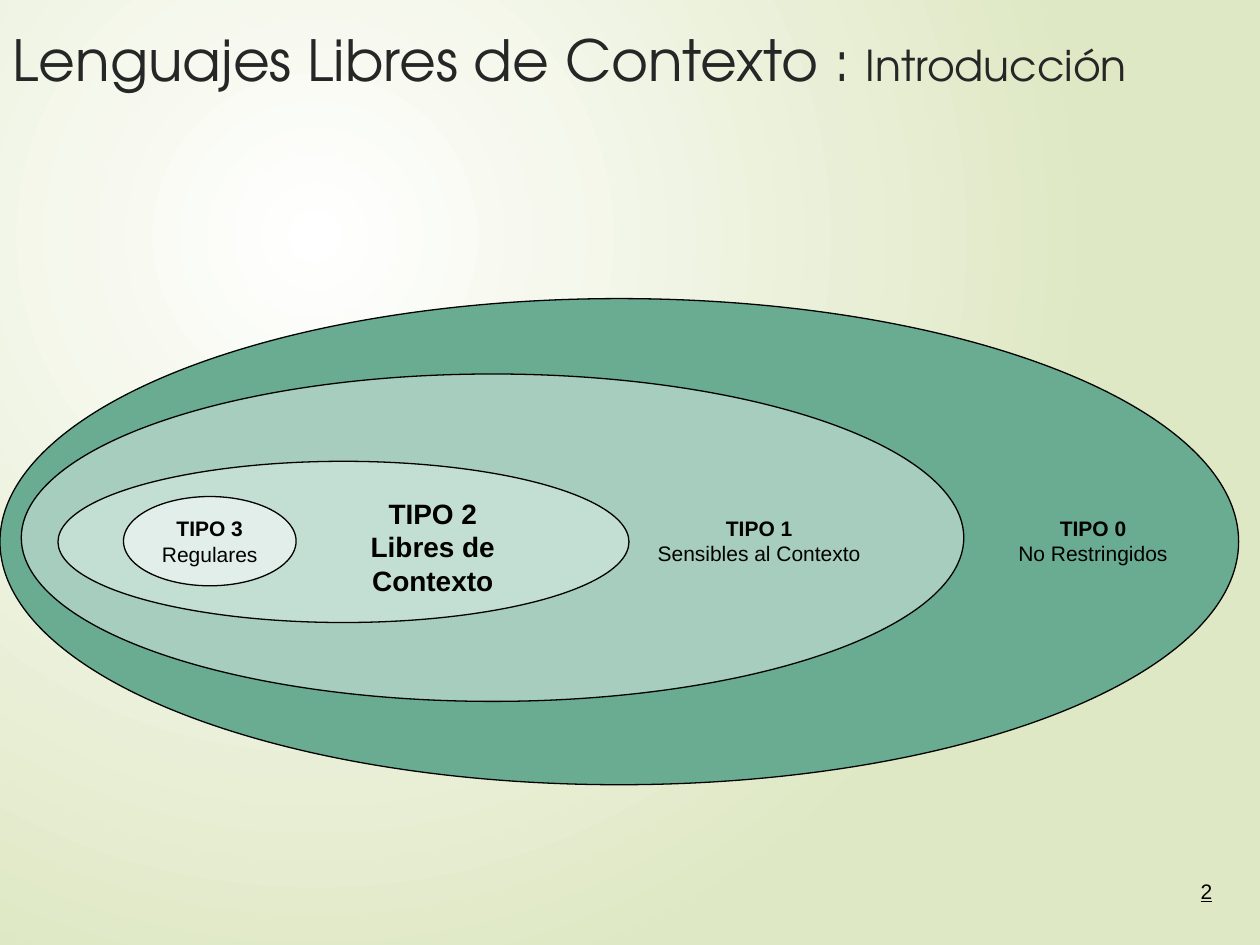
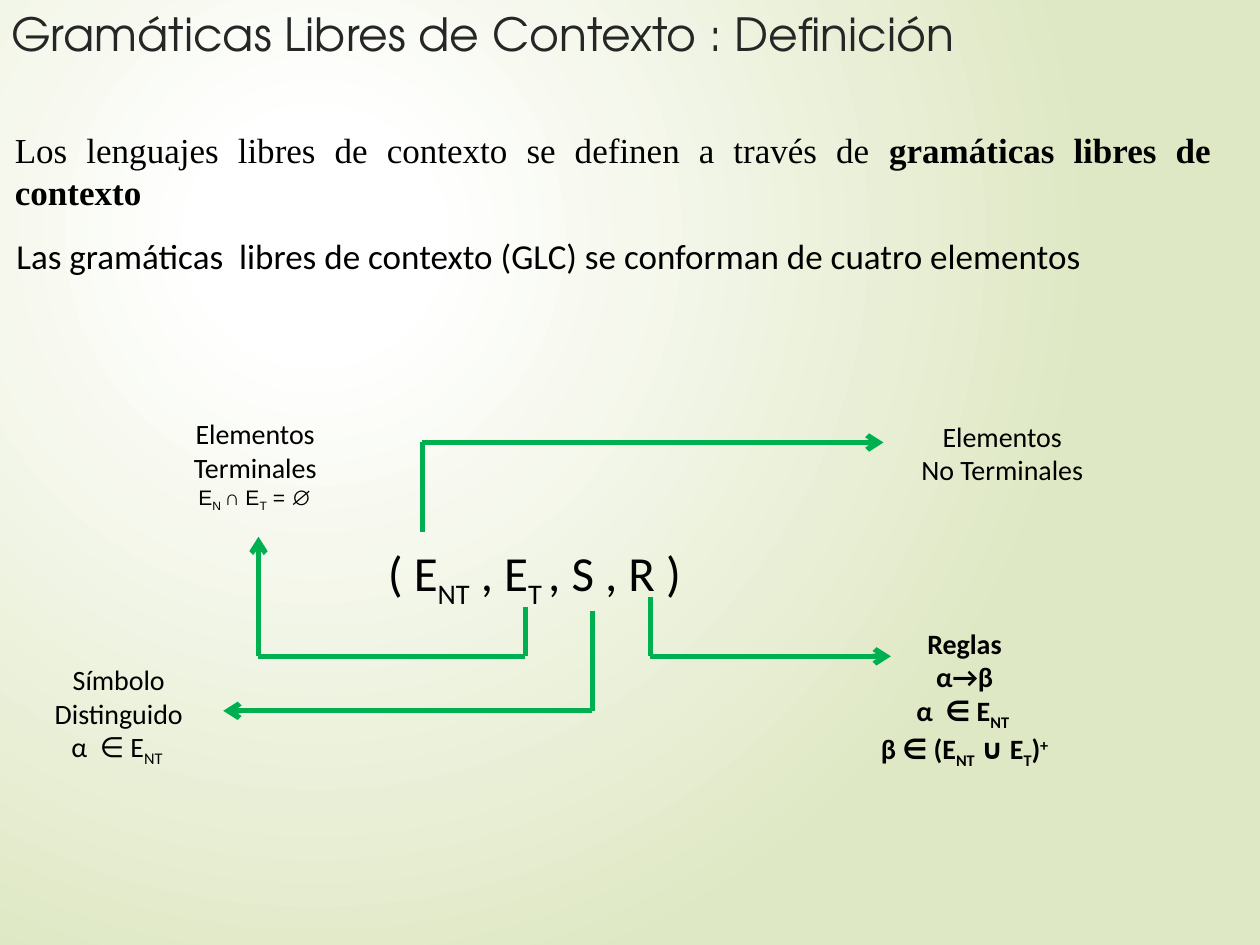
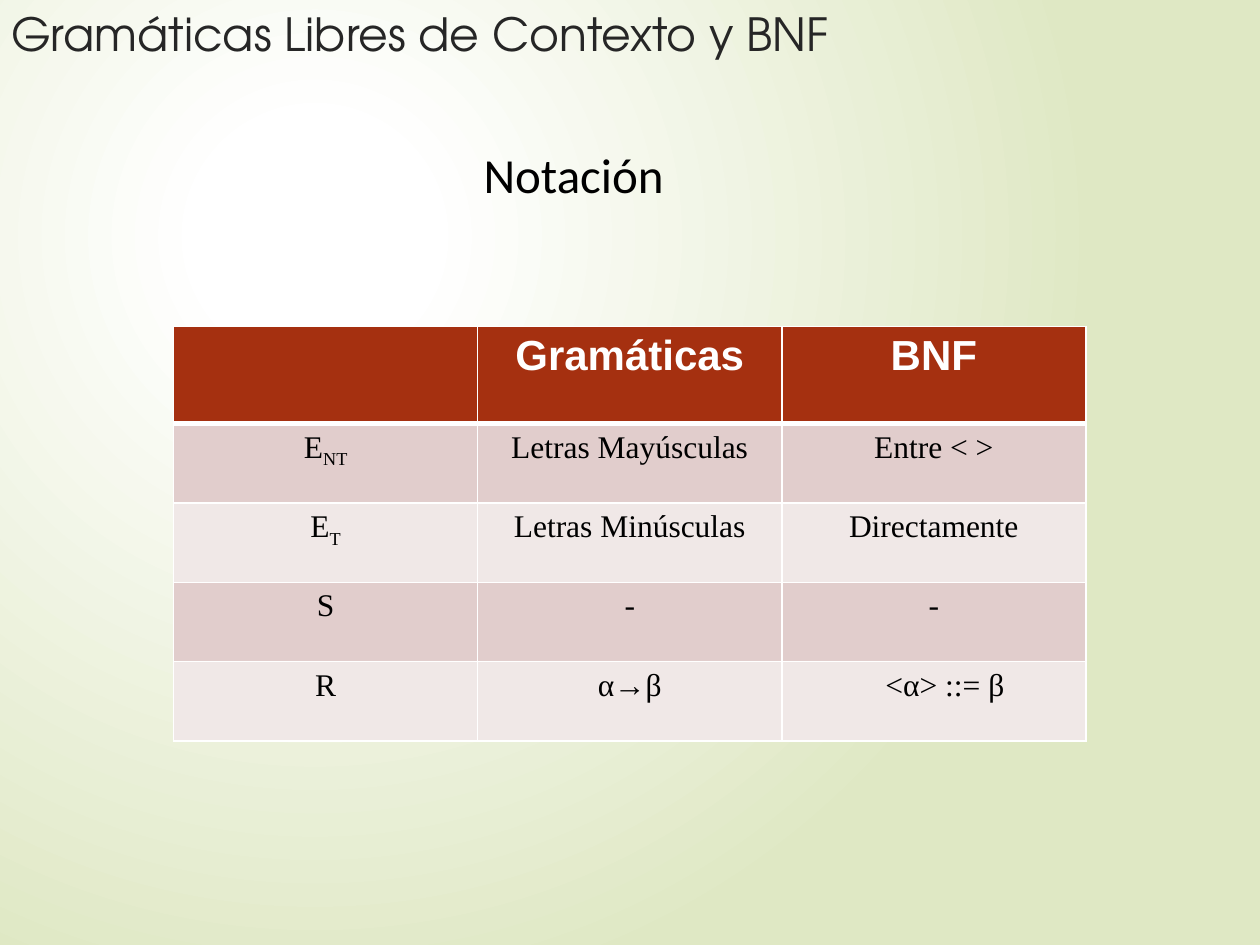
from dataclasses import dataclass
from itertools import pairwise

from lxml.etree import SubElement
from pptx import Presentation
from pptx.dml.color import RGBColor
from pptx.enum.shapes import MSO_CONNECTOR, MSO_SHAPE
from pptx.enum.text import MSO_ANCHOR as Anchor, MSO_AUTO_SIZE as AutoSize, PP_ALIGN as Align
from pptx.oxml.ns import qn
from pptx.util import Cm, Pt

# Shared colours and fonts
BLACK = RGBColor(0x00, 0x00, 0x00)
WHITE = RGBColor(0xFF, 0xFF, 0xFF)
TITLE_GREY = RGBColor(0x26, 0x26, 0x26)
PALE_GREEN = RGBColor(0xDF, 0xE8, 0xC4)
ARROW_GREEN = RGBColor(0x00, 0xB0, 0x50)
TYPE_0_FILL = RGBColor(0x6A, 0xAC, 0x91)
TYPE_1_FILL = RGBColor(0xA6, 0xCD, 0xBD)
TYPE_2_FILL = RGBColor(0xC3, 0xDE, 0xD3)
TYPE_3_FILL = RGBColor(0xE1, 0xEE, 0xE9)
HEADER_RED = RGBColor(0xA5, 0x30, 0x10)
BAND_FILLS = (RGBColor(0xF0, 0xE8, 0xE7), RGBColor(0xE1, 0xCD, 0xCC))

TITLE_FONT = "TeX Gyre Adventor"
SANS = "Arial"
BODY = "Calibri"
SERIF = "Times New Roman"


@dataclass
class Box:
    """A region in centimetres."""
    left: float
    top: float
    width: float
    height: float

    def inner(self, left, top, width, height):
        return Box(self.left + left, self.top + top, width, height)

    def lengths(self):
        return [Cm(value) for value in (self.left, self.top, self.width, self.height)]


@dataclass
class Span:
    """A piece of a line that departs from the paragraph's style."""
    text: str
    baseline: int = 0
    bold: bool = None
    size: float = None


def sub(text):
    return Span(text, baseline=-25)


def sup(text):
    return Span(text, baseline=30)


@dataclass
class Line:
    """One paragraph with its own style."""
    spans: list
    size: float
    font: str = BODY
    bold: bool = False
    color: RGBColor = BLACK


# Text helpers
def write_lines(frame, lines, align=Align.CENTER, anchor=Anchor.TOP, wrap=True):
    frame.word_wrap = wrap
    frame.auto_size = AutoSize.NONE
    frame.vertical_anchor = anchor
    for index, line in enumerate(lines):
        paragraph = frame.add_paragraph() if index else frame.paragraphs[0]
        write_line(paragraph, line, align)


def write_line(paragraph, line, align):
    paragraph.alignment = align
    spans = [Span(item) if isinstance(item, str) else item for item in line.spans]
    runs = []
    for span in spans:
        run = paragraph.add_run()
        run.text = span.text
        runs.append(run)
    for font in (paragraph.font, *(run.font for run in runs)):
        font.name, font.size, font.bold = line.font, Pt(line.size), line.bold
        font.color.rgb = line.color
    for run, span in zip(runs, spans):
        if span.baseline:
            run.font._element.set("baseline", str(span.baseline * 1000))
        if span.bold is not None:
            run.font.bold = span.bold
        if span.size:
            run.font.size = Pt(span.size)


def add_text(slide, box, lines, align=Align.CENTER, anchor=Anchor.TOP):
    shape = slide.shapes.add_textbox(*box.lengths())
    write_lines(shape.text_frame, lines, align, anchor)
    return shape


# Slide frame: background and title
def add_slide(presentation, title_box, title, size, anchor=Anchor.TOP, white_until=0.14):
    slide = presentation.slides.add_slide(presentation.slide_layouts[5])
    fill_background(slide, white_until)
    shape = slide.shapes.title
    shape.left, shape.top, shape.width, shape.height = title_box.lengths()
    line = Line(title, size, TITLE_FONT, color=TITLE_GREY)
    write_lines(shape.text_frame, [line], Align.LEFT, anchor)
    return slide


def fill_background(slide, white_until):
    fill = slide.background.fill
    fill.gradient()
    stops = zip(fill.gradient_stops, (white_until, 1), (WHITE, PALE_GREEN))
    for stop, position, color in stops:
        stop.position = position
        stop.color.rgb = color
    gradient = next(slide.element.iter(qn("a:gradFill")))
    gradient.remove(gradient.find(qn("a:lin")))
    circle = SubElement(gradient, qn("a:path"), path="circle")
    SubElement(circle, qn("a:fillToRect"), l="50000", t="50000", r="100000", b="100000")


# Nested language types
def add_ellipse(slide, box, color):
    shape = slide.shapes.add_shape(MSO_SHAPE.OVAL, *box.lengths())
    shape.shadow.inherit = False
    shape.fill.solid()
    shape.fill.fore_color.rgb = color
    shape.line.color.rgb = BLACK
    shape.line.width = Pt(0.75)
    return shape


def type_label(number, name):
    return [Line([f"TIPO {number}"], 12, SANS, bold=True), Line([name], 12, SANS)]


def add_hierarchy(slide, box):
    add_ellipse(slide, box, TYPE_0_FILL)
    add_ellipse(slide, box.inner(0.43, 1.52, 19, 6.6), TYPE_1_FILL)
    add_ellipse(slide, box.inner(1.17, 3.28, 11.51, 3.25), TYPE_2_FILL)
    regular = add_ellipse(slide, box.inner(2.49, 3.99, 3.48, 1.8), TYPE_3_FILL)
    write_lines(regular.text_frame, type_label(3, "Regulares"),
                anchor=Anchor.MIDDLE, wrap=False)
    context_free = [Line([text], 16, SANS, bold=True)
                    for text in ("TIPO 2", "Libres de Contexto")]
    add_text(slide, box.inner(6.25, 3.86, 4.95, 2.31), context_free)
    add_text(slide, box.inner(12.83, 4.24, 4.95, 1.27), type_label(1, "Sensibles al Contexto"))
    add_text(slide, box.inner(19.56, 4.24, 4.95, 1.27), type_label(0, "No Restringidos"))


def add_page_number(slide, box, number):
    shape = add_text(slide, box, [Line([number], 12, SANS)], Align.RIGHT, Anchor.MIDDLE)
    shape.text_frame.paragraphs[0].runs[0].font.underline = True


# The four elements of a grammar
def add_arrow_path(slide, box, points):
    """Joins the points with straight lines; the last one carries an arrowhead."""
    for (x1, y1), (x2, y2) in pairwise(points):
        connector = slide.shapes.add_connector(
            MSO_CONNECTOR.STRAIGHT,
            Cm(box.left + x1), Cm(box.top + y1), Cm(box.left + x2), Cm(box.top + y2))
        connector.line.color.rgb = ARROW_GREEN
        connector.line.width = Pt(3)
        SubElement(connector._element.spPr, qn("a:effectLst"))
    SubElement(connector.line._get_or_add_ln(), qn("a:tailEnd"), type="arrow")


def add_grammar_diagram(slide, box):
    lower_level = 5.03
    paths = [
        [(8.51, 2.52), (8.51, 0.72), (17.81, 0.72)],
        [(10.59, 4.04), (10.59, lower_level), (5.21, lower_level), (5.21, 2.62)],
        [(11.94, 4.12), (11.94, 6.13), (4.5, 6.13)],
        [(13.11, 3.84), (13.11, lower_level), (17.96, lower_level)],
    ]
    for points in paths:
        add_arrow_path(slide, box, points)

    grammar = Line(["( E", sub("NT"), " , E", sub("T "), ", S , R )"], 28)
    add_text(slide, box.inner(7.57, 2.62, 7.24, 1.45), [grammar], Align.LEFT)

    membership = ["α  ∈ E", sub("NT ")]
    add_text(slide, box.inner(18.11, 0.13, 4.19, 2.31), [
        Line(["Elementos"], 16),
        Line(["No Terminales"], 16)])
    add_text(slide, box.inner(3.05, 0.08, 4.19, 2.13), [
        Line(["Elementos"], 16),
        Line(["Terminales"], 16),
        Line(["E", sub("N "), "∩ E", sub("T"), " = ∅"], 12, SANS)])
    add_text(slide, box.inner(0.3, lower_level, 4.19, 2.31), [
        Line(["Símbolo Distinguido"], 16),
        Line(membership, 16)])
    production = ["β ∈ (E", sub("NT"), " ∪ E", sub("T"), ")", sup("+")]
    add_text(slide, box.inner(17.35, 4.3, 4.19, 3), [
        Line(spans, 16, bold=True)
        for spans in (["Reglas"], ["α→β"], membership, production)])


# Notation table
def set_borders(cell, bottom_width):
    properties = cell._tc.get_or_add_tcPr()
    for side, width in (("L", 1), ("R", 1), ("T", 1), ("B", bottom_width)):
        border = SubElement(properties, qn(f"a:ln{side}"), w=str(Pt(width)))
        fill = SubElement(border, qn("a:solidFill"))
        SubElement(fill, qn("a:srgbClr"), val=str(WHITE))


def add_notation_table(slide, box, header_height=1.96):
    rows = [
        [[], ["Gramáticas"], ["BNF"]],
        [["E", sub("NT")], ["Letras Mayúsculas"], ["Entre < >"]],
        [["E", sub("T")], ["Letras Minúsculas"], ["Directamente"]],
        [["S"], ["-"], ["-"]],
        [["R"], ["α→β"], ["<α> ::= β"]],
    ]
    columns = len(rows[0])
    table = slide.shapes.add_table(len(rows), columns, *box.lengths()).table
    for column in table.columns:
        column.width = Cm(box.width / columns)
    row_height = (box.height - header_height) / (len(rows) - 1)
    for index, row in enumerate(rows):
        is_header = index == 0
        table.rows[index].height = Cm(header_height if is_header else row_height)
        for cell, spans in zip(table.rows[index].cells, row):
            set_borders(cell, 3 if is_header else 1)
            cell.fill.solid()
            cell.fill.fore_color.rgb = HEADER_RED if is_header else BAND_FILLS[index % 2]
            line = (Line(spans, 24, SANS, True, WHITE) if is_header
                    else Line(spans, 18, SERIF))
            write_line(cell.text_frame.paragraphs[0], line, Align.CENTER)
    table.cell(len(rows) - 1, columns - 1).margin_left = Cm(0.7)


# Slides
def build_languages(presentation):
    title = ["Lenguajes Libres de Contexto : ", Span("Introducción", size=24.3)]
    slide = add_slide(presentation, Box(0, 0.13, 24.97, 2.13), title, 32.4,
                      Anchor.MIDDLE, white_until=0)
    add_hierarchy(slide, Box(0, 6.02, 24.97, 9.8))
    add_page_number(slide, Box(22, 17.32, 2.69, 1.27), "2")


def build_definition(presentation):
    slide = add_slide(presentation, Box(-0.03, 0, 27.48, 2.03),
                      ["Gramáticas Libres de Contexto : Definición"], 26.1)
    definition = ["Los lenguajes libres de contexto se definen a través de ",
                  Span("gramáticas libres de contexto", bold=True)]
    add_text(slide, Box(0.05, 2.46, 24.61, 1.96), [Line(definition, 20, SERIF)], Align.JUSTIFY)
    elements = "Las gramáticas  libres de contexto (GLC) se conforman de cuatro elementos"
    add_text(slide, Box(0.08, 4.6, 24.54, 1.12), [Line([elements], 20)], Align.LEFT)
    add_grammar_diagram(slide, Box(0, 8.2, 22.3, 7.3))


def build_notation(presentation):
    slide = add_slide(presentation, Box(-0.03, 0, 21.92, 2.03),
                      ["Gramáticas Libres de Contexto y BNF"], 26.1)
    add_text(slide, Box(9.5, 2.79, 7.24, 1.45), [Line(["Notación"], 28)], Align.LEFT)
    add_notation_table(slide, Box(3.5, 6.58, 18.39, 8.36))


presentation = Presentation()
presentation.slide_width, presentation.slide_height = Cm(25.4), Cm(19.05)
build_languages(presentation)
build_definition(presentation)
build_notation(presentation)
presentation.save("out.pptx")
